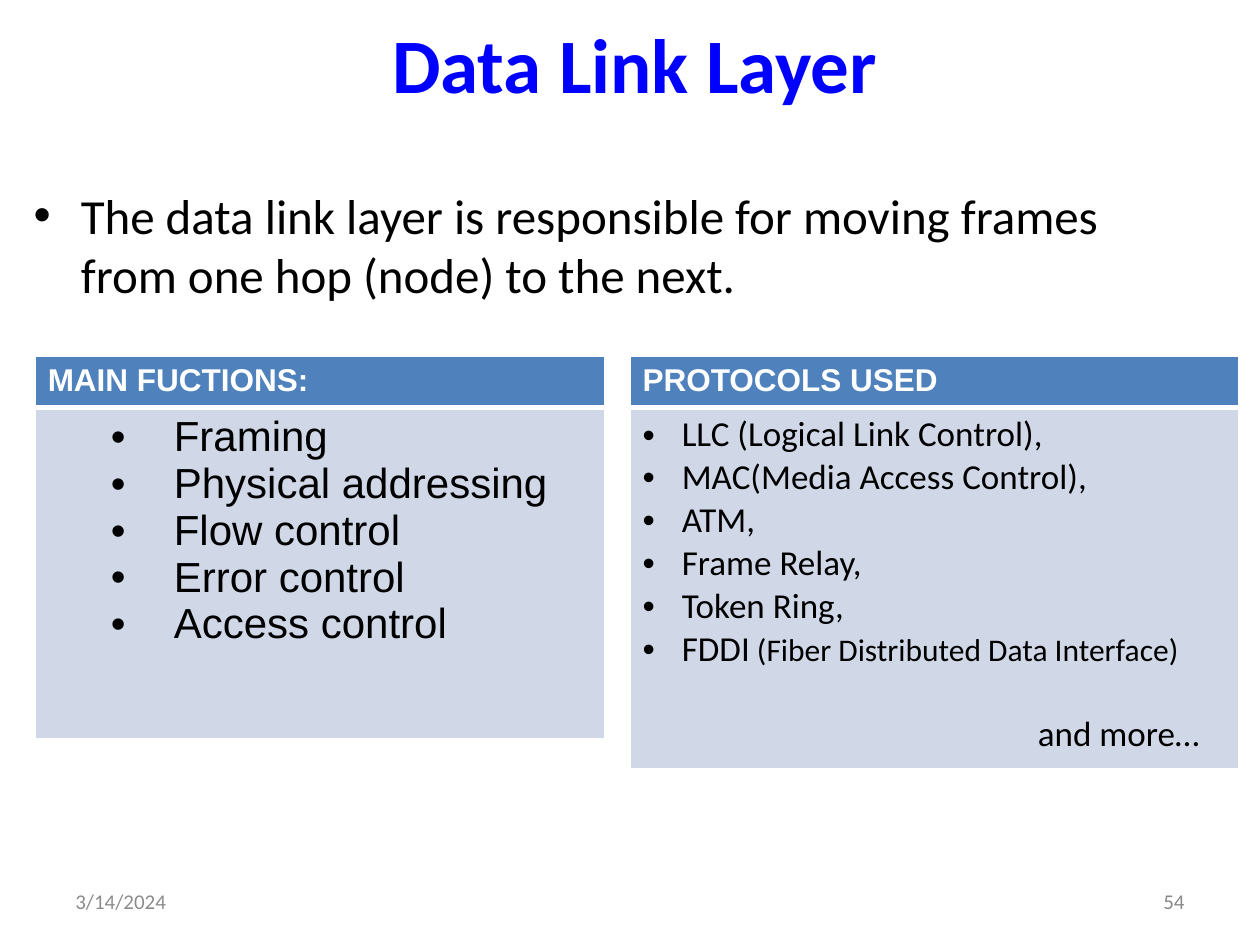
import pptx
import pptx.dml.color
import pptx.enum.text
import pptx.oxml
import pptx.oxml.ns
import pptx.util
from pptx.util import Cm, Pt

ALIGN = pptx.enum.text.PP_ALIGN
ANCHOR = pptx.enum.text.MSO_ANCHOR
NS = pptx.oxml.ns.nsdecls("a")


def color(value):
    return pptx.dml.color.RGBColor.from_string(value)


def write(p, runs, font, fill, bold=False, align=ALIGN.LEFT, left=0, hang=0):
    """Fill a paragraph with (text, size) runs; a hanging indent brings a bullet."""
    p.alignment = align
    pPr = p._p.get_or_add_pPr()
    pPr.set("marL", str(Cm(left)))
    pPr.set("indent", str(-Cm(hang)))
    if hang:
        pPr.append(pptx.oxml.parse_xml(f'<a:buFont {NS} typeface="Arial"/>'))
        pPr.append(pptx.oxml.parse_xml(f'<a:buChar {NS} char="•"/>'))
    for text, size in runs:
        r = p.add_run()
        r.text = text
        r.font.name = font
        r.font.size = Pt(size)
        r.font.bold = bold
        r.font.color.rgb = color(fill)


prs = pptx.Presentation()
prs.slide_width, prs.slide_height = Cm(25.4), Cm(19.05)
s = prs.slides.add_slide(prs.slide_layouts[6])

# Title, statement, date and slide number
statement = "The data link layer is responsible for moving frames from one hop (node) to the next."
texts = [
    ((1.37, -0.33, 22.86, 3.18), ANCHOR.MIDDLE, "Data Link Layer", 44, "0000FF",
     dict(bold=True, align=ALIGN.CENTER)),
    ((0.43, 3.61, 22.86, 12.57), ANCHOR.TOP, statement, 28, "000000",
     dict(left=0.95, hang=0.95)),
    ((1.27, 17.65, 5.92, 1.02), ANCHOR.MIDDLE, "3/14/2024", 12, "8C8C8C", {}),
    ((18.21, 17.65, 5.92, 1.02), ANCHOR.MIDDLE, "54", 12, "898989",
     dict(align=ALIGN.RIGHT)),
]
for box, anchor, text, size, fill, style in texts:
    tf = s.shapes.add_textbox(*map(Cm, box)).text_frame
    tf.word_wrap = True
    tf.vertical_anchor = anchor
    write(tf.paragraphs[0], [(text, size)], "Calibri", fill, **style)

# Two tables, each a header above a bulleted list
protocols = [
    [("LLC (Logical Link Control),", 20)],
    [("MAC(Media Access Control),", 20)],
    [("ATM,", 20)],
    [("Frame Relay,", 20)],
    [("Token Ring,", 20)],
    [("FDDI", 20), (" (Fiber Distributed Data Interface)", 18)],
]
names = ["Framing", "Physical addressing", "Flow control", "Error control", "Access control"]
functions = [[(name, 24)] for name in names]
header_height = 1.02
tables = [
    (12.7, 12.27, 7.29, "PROTOCOLS USED", protocols, "Calibri",
     dict(align=ALIGN.JUSTIFY, left=0.79, hang=0.79)),
    (0.71, 11.48, 6.68, "MAIN FUCTIONS:", functions, "Arial",
     dict(left=2.54, hang=1.27)),
]
for left, width, body_height, heading, items, font, style in tables:
    table = s.shapes.add_table(2, 1, Cm(left), Cm(7.19), Cm(width),
                               Cm(header_height + body_height)).table
    table.rows[0].height = Cm(header_height)
    table.rows[1].height = Cm(body_height)
    header, body = table.cell(0, 0), table.cell(1, 0)
    for cell, fill, bottom in [(header, "4F81BD", 3), (body, "D0D8E8", 1)]:
        cell.fill.solid()
        cell.fill.fore_color.rgb = color(fill)
        top = 4 - bottom if cell is header else 3
        for i, (side, points) in enumerate([("L", 1), ("R", 1), ("T", top), ("B", bottom)]):
            cell._tc.get_or_add_tcPr().insert(i, pptx.oxml.parse_xml(
                f'<a:ln{side} {NS} w="{Pt(points)}"><a:solidFill>'
                f'<a:srgbClr val="FFFFFF"/></a:solidFill></a:ln{side}>'))
    write(header.text_frame.paragraphs[0], [(heading, 18)], "Arial", "FFFFFF", bold=True)
    tf = body.text_frame
    for i, runs in enumerate(items):
        p = tf.add_paragraph() if i else tf.paragraphs[0]
        write(p, runs, font, "000000", **style)
    if items is protocols:
        p = tf.add_paragraph()
        write(p, [("and more…", 20)], font, "000000", left=7.97)
        p.space_before = Pt(24)

prs.save("out.pptx")
